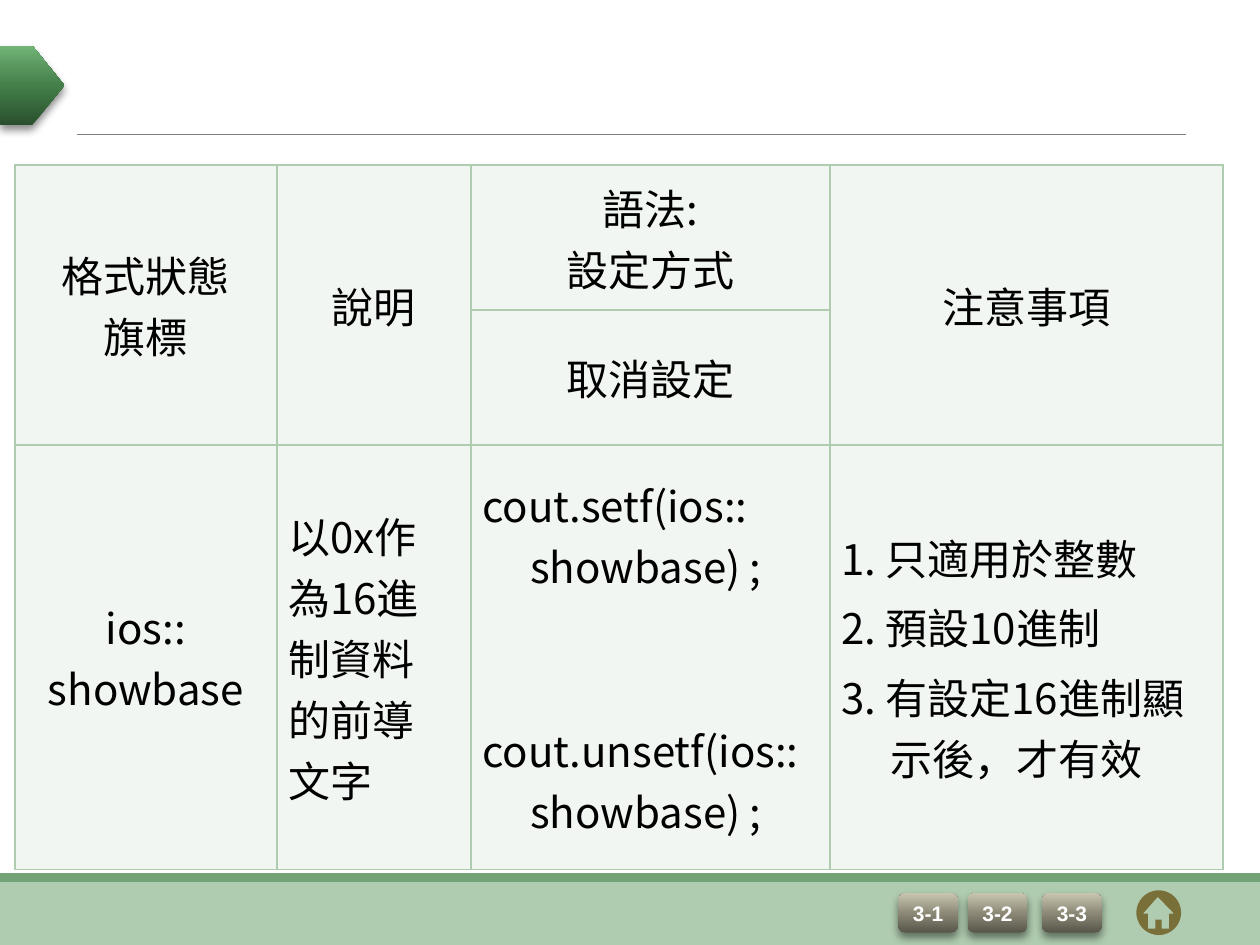
from math import cos, pi, sin

from lxml.etree import SubElement
from pptx import Presentation
from pptx.dml.color import RGBColor
from pptx.enum.shapes import MSO_CONNECTOR, MSO_SHAPE
from pptx.enum.text import MSO_ANCHOR, PP_ALIGN
from pptx.oxml.ns import qn
from pptx.util import Cm, Pt

WHITE = RGBColor(0xFF, 0xFF, 0xFF)
BLACK = RGBColor(0, 0, 0)
GRAY = RGBColor(0x80, 0x80, 0x80)
PALE_GREEN = RGBColor(0xB0, 0xCC, 0xB0)
MID_GREEN = RGBColor(0x72, 0xA3, 0x76)
CELL_GREEN = RGBColor(0xF2, 0xF6, 0xF2)
OLIVE = RGBColor(0x79, 0x6F, 0x39)
GREENS = [(0, RGBColor(0x29, 0x50, 0x2D)), (50, RGBColor(0x44, 0x7F, 0x49)),
          (70, RGBColor(0x56, 0x93, 0x5B)), (100, RGBColor(0x71, 0xB5, 0x77))]
STONES = [(0, RGBColor(0x57, 0x56, 0x4A)), (50, RGBColor(0x8C, 0x89, 0x77)),
          (70, RGBColor(0xA4, 0xA1, 0x8E)), (100, RGBColor(0xC8, 0xC5, 0xAF))]
TABLE_FONT = "Noto Sans CJK SC"

# Content: (row, column, row span, paragraph kind, lines)
CELLS = [
    (0, 0, 2, "center", ["格式狀態", "旗標"]),
    (0, 1, 2, "center", ["說明"]),
    (0, 2, 1, "center", ["語法:", "設定方式"]),
    (0, 3, 2, "center", ["注意事項"]),
    (1, 2, 1, "center", ["取消設定"]),
    (2, 0, 1, "center", ["ios::", "showbase"]),
    (2, 1, 1, "left", ["以0x作", "為16進", "制資料", "的前導", "文字"]),
    (2, 2, 1, "code", ["cout.setf(ios:: showbase) ;", "cout.unsetf(ios:: showbase) ;"]),
    (2, 3, 1, "list", ["1. 只適用於整數", "2. 預設10進制", "3. 有設定16進制顯示後，才有效"]),
]
# Kind: alignment, left margin and first-line indent in cm, space before
KINDS = {
    "center": (PP_ALIGN.CENTER, 0.97, -0.97, 0),
    "left": (PP_ALIGN.LEFT, 0.97, -0.97, 0),
    "code": (PP_ALIGN.LEFT, 0.97, -0.97, 70),
    "list": (PP_ALIGN.LEFT, 0.99, -1.04, 5),
}
COLUMN_WIDTHS = [5.28, 3.91, 7.24, 7.92]
ROW_HEIGHTS = [2.92, 2.7, 8.56]
BUTTONS = [("3-1", 18.11), ("3-2", 19.51), ("3-3", 21.01)]
HOUSE = [(23.34, 18.08), (23.04, 18.42), (23.14, 18.42), (23.14, 18.72),
         (23.29, 18.72), (23.29, 18.54), (23.42, 18.54), (23.42, 18.72),
         (23.57, 18.72), (23.57, 18.42), (23.67, 18.42)]
CIRCLE = (23.36, 18.4, 0.45)  # center x, center y, radius

deck = Presentation()
deck.slide_width, deck.slide_height = Cm(25.4), Cm(19.05)
page = deck.slides.add_slide(deck.slide_layouts[6])


def set_format(target, values):
    for name, value in values.items():
        setattr(target, name, value)


def add_color(parent, color):
    return SubElement(parent, qn("a:srgbClr"), val=str(color))


def add_box(kind, left, top, width, height, color=None):
    box = page.shapes.add_shape(kind, Cm(left), Cm(top), Cm(width), Cm(height))
    box.shadow.inherit = False
    box.line.fill.background()
    if color is not None:
        box.fill.solid()
        box.fill.fore_color.rgb = color
    return box


def add_raised_box(kind, left, top, width, height, stops):
    """A box with a vertical gradient and a soft shadow below it."""
    box = add_box(kind, left, top, width, height)
    box.fill.gradient()
    box.fill.gradient_angle = 90
    properties = box.element.spPr
    stop_list = properties.find(qn("a:gradFill")).find(qn("a:gsLst"))
    for old in list(stop_list):
        stop_list.remove(old)
    for position, color in stops:
        add_color(SubElement(stop_list, qn("a:gs"), pos=str(position * 1000)), color)
    shadow = SubElement(properties.find(qn("a:effectLst")), qn("a:outerShdw"),
                        blurRad=str(Pt(5)), dist=str(Pt(3)), dir="5400000", rotWithShape="0")
    SubElement(add_color(shadow, BLACK), qn("a:alpha"), val="45000")
    return box


# Footer bands, title rule and title marker
add_box(MSO_SHAPE.RECTANGLE, 0, 17.78, 25.4, 1.27, PALE_GREEN)
add_box(MSO_SHAPE.RECTANGLE, 0, 17.6, 25.4, 0.18, MID_GREEN)
rule = page.shapes.add_connector(MSO_CONNECTOR.STRAIGHT, Cm(1.55), Cm(2.72), Cm(23.9), Cm(2.72))
rule.line.color.rgb = GRAY
rule.line.width = Pt(0.5)
SubElement(rule.element.spPr, qn("a:effectLst"))
add_raised_box(MSO_SHAPE.PENTAGON, 0, 0.92, 1.3, 1.6, GREENS)

# Section buttons
for label, left in BUTTONS:
    button = add_raised_box(MSO_SHAPE.ROUNDED_RECTANGLE, left, 18.01, 1.2, 0.79, STONES)
    frame = button.text_frame
    set_format(frame, dict(margin_left=0, margin_right=0, margin_top=0, margin_bottom=0,
                           vertical_anchor=MSO_ANCHOR.MIDDLE))
    para = frame.paragraphs[0]
    para.alignment = PP_ALIGN.CENTER
    span = para.add_run()
    span.text = label
    set_format(span.font, dict(name="Arial", size=Pt(12), bold=True))
    span.font.color.rgb = WHITE

# Home icon: a disc with a house cut out of it
center_x, center_y, radius = CIRCLE
disc = [(center_x + radius * cos(pi * step / 36), center_y + radius * sin(pi * step / 36))
        for step in range(72)]
outlines = [[(Cm(x), Cm(y)) for x, y in outline] for outline in (HOUSE, disc)]
builder = page.shapes.build_freeform(*outlines[0][0])
builder.add_line_segments(outlines[0][1:], close=True)
builder.move_to(*outlines[1][0])
builder.add_line_segments(outlines[1][1:], close=True)
home = builder.convert_to_shape()
home.shadow.inherit = False
home.fill.solid()
home.fill.fore_color.rgb = OLIVE
home.line.fill.background()

# Table grid
table = page.shapes.add_table(len(ROW_HEIGHTS), len(COLUMN_WIDTHS), Cm(0.3), Cm(3.33),
                              Cm(sum(COLUMN_WIDTHS)), Cm(sum(ROW_HEIGHTS))).table
set_format(table, dict(first_row=False, horz_banding=False))
for column, width in zip(table.columns, COLUMN_WIDTHS):
    column.width = Cm(width)
for row, height in zip(table.rows, ROW_HEIGHTS):
    row.height = Cm(height)
for cell in table.iter_cells():
    cell.vertical_anchor = MSO_ANCHOR.MIDDLE
    set_format(cell, dict(margin_left=Cm(0.23), margin_right=Cm(0.23),
                          margin_top=Cm(0.13), margin_bottom=Cm(0.13)))
    properties = cell._tc.get_or_add_tcPr()
    for side in ("a:lnL", "a:lnR", "a:lnT", "a:lnB"):
        border = SubElement(properties, qn(side), w=str(Pt(1)))
        add_color(SubElement(border, qn("a:solidFill")), PALE_GREEN)
    cell.fill.solid()
    cell.fill.fore_color.rgb = CELL_GREEN

# Table text
for row, column, row_span, kind, lines in CELLS:
    cell = table.cell(row, column)
    if row_span > 1:
        cell.merge(table.cell(row + row_span - 1, column))
    alignment, margin, indent, space = KINDS[kind]
    for index, line in enumerate(lines):
        frame = cell.text_frame
        para = frame.add_paragraph() if index else frame.paragraphs[0]
        para.alignment = alignment
        if index and space:
            para.space_before = Pt(space)
        layout = para._p.get_or_add_pPr()
        layout.set("marL", str(Cm(margin)))
        layout.set("indent", str(Cm(indent)))
        span = para.add_run()
        span.text = line
        set_format(span.font, dict(name=TABLE_FONT, size=Pt(24), bold=False))
        span.font.color.rgb = BLACK
        SubElement(span.font._element, qn("a:ea"), typeface=TABLE_FONT)

deck.save("out.pptx")
